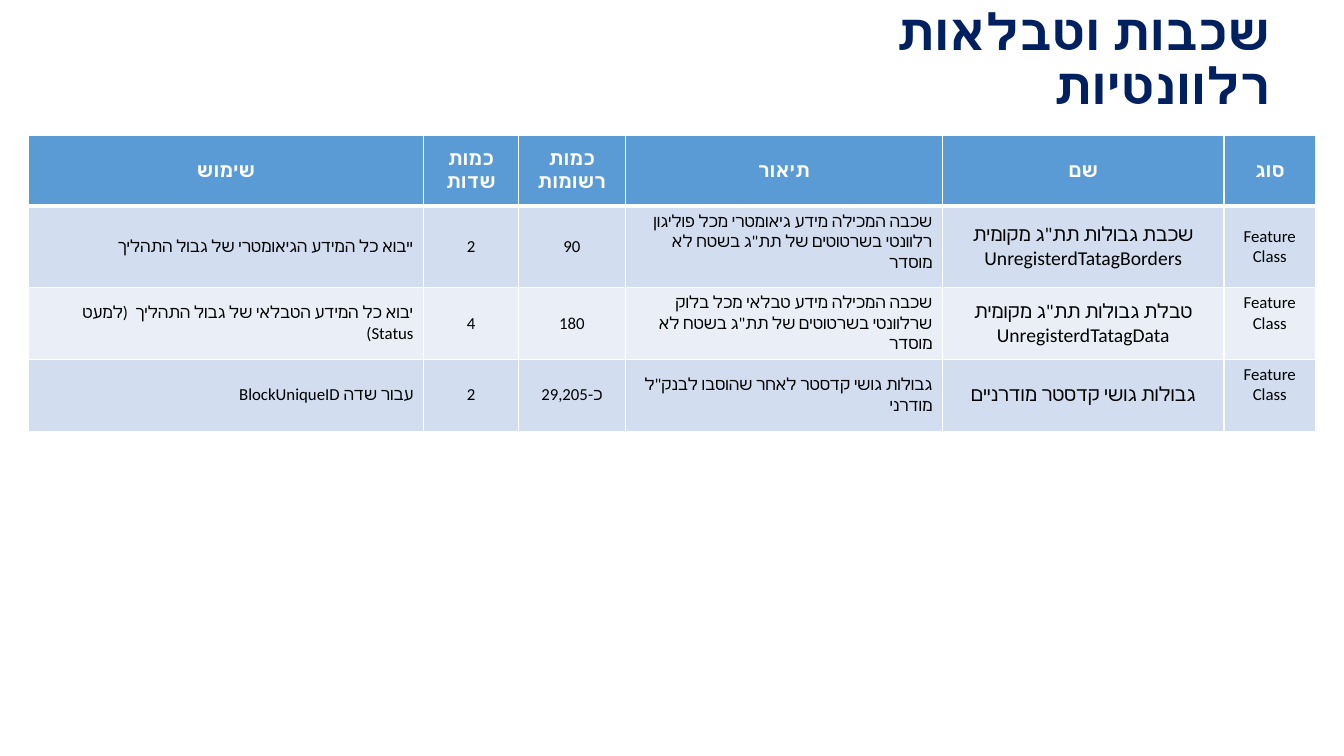
from lxml.etree import SubElement
from pptx import Presentation
from pptx.dml.color import RGBColor
from pptx.enum.text import MSO_ANCHOR as ANCHOR, MSO_AUTO_SIZE as AUTO, PP_ALIGN as ALIGN
from pptx.oxml.ns import qn
from pptx.util import Pt

# Content: columns run from left to right, "\n" splits paragraphs
TITLE = "שכבות וטבלאות רלוונטיות"
HEADER = ["שימוש", "כמות\nשדות", "כמות רשומות", "תיאור", "שם", "סוג"]
LAYERS = [
    ["ייבוא כל המידע הגיאומטרי של גבול התהליך", "2", "90",
     'שכבה המכילה מידע גיאומטרי מכל פוליגון רלוונטי בשרטוטים של תת"ג בשטח לא מוסדר',
     'שכבת גבולות תת"ג מקומית\nUnregisterdTatagBorders', "Feature Class"],
    ["יבוא כל המידע הטבלאי של גבול התהליך  (למעט Status)", "4", "180",
     'שכבה המכילה מידע טבלאי מכל בלוק שרלוונטי בשרטוטים של תת"ג בשטח לא מוסדר',
     'טבלת גבולות תת"ג מקומית\nUnregisterdTatagData', "Feature Class"],
    ["עבור שדה BlockUniqueID", "2", "כ-29,205",
     'גבולות גושי קדסטר לאחר שהוסבו לבנק"ל מודרני',
     "גבולות גושי קדסטר מודרניים", "Feature Class"],
]
COLORS = {"title": "002060", "header": "5B9BD5", "odd": "D2DEEF", "even": "EAEFF7",
          "white": "FFFFFF", "black": "000000"}
COL_WIDTHS = [282.2, 67.7, 76.3, 226.8, 200.9, 65.5]
ROW_HEIGHTS = [50.4, 58.3, 50.4, 51.4]
USAGE, DESCRIPTION, NAME, KIND = 0, 3, 4, 5
TOP_CELLS = {(1, DESCRIPTION), (2, KIND), (3, KIND)}


def write(p, text, size, font, color, bold=False, rtl=False):
    p.alignment = ALIGN.RIGHT if rtl else ALIGN.CENTER
    if rtl:
        p._p.get_or_add_pPr().set("rtl", "1")
    r = p.add_run()
    r.text = text
    r.font.size, r.font.name, r.font.bold = Pt(size), font, bold
    r.font.color.rgb = RGBColor.from_string(COLORS[color])
    SubElement(r._r.get_or_add_rPr(), qn("a:cs")).set("typeface", font)


def add_borders(cell, top, bottom):
    tc_pr = cell._tc.get_or_add_tcPr()
    for side, width in zip("LRTB", (1, 1, top, bottom)):
        ln = SubElement(tc_pr, qn(f"a:ln{side}"), w=str(Pt(width)))
        fill = SubElement(ln, qn("a:solidFill"))
        SubElement(fill, qn("a:srgbClr"), val=COLORS["white"])


prs = Presentation()
prs.slide_width, prs.slide_height = Pt(960), Pt(540)
slide = prs.slides.add_slide(prs.slide_layouts[5])

# Title
title = slide.shapes.title
title.left, title.top, title.width, title.height = Pt(540), Pt(19.4), Pt(374.4), Pt(49)
tf = title.text_frame
tf.word_wrap, tf.auto_size, tf.vertical_anchor = True, AUTO.NONE, ANCHOR.MIDDLE
tf.paragraphs[0].line_spacing = 0.9
write(tf.paragraphs[0], TITLE, 36, "Calibri", "title", bold=True, rtl=True)

# Table of layers
rows = [HEADER] + LAYERS
table = slide.shapes.add_table(len(rows), len(HEADER), Pt(20.4), Pt(96.8),
                               Pt(sum(COL_WIDTHS)), Pt(sum(ROW_HEIGHTS))).table
for column, width in zip(table.columns, COL_WIDTHS):
    column.width = Pt(width)
for i, (texts, height) in enumerate(zip(rows, ROW_HEIGHTS)):
    table.rows[i].height = Pt(height)
    band = "header" if i == 0 else "odd" if i % 2 else "even"
    for j, text in enumerate(texts):
        cell = table.cell(i, j)
        add_borders(cell, top=3 if i == 1 else 1, bottom=3 if i == 0 else 1)
        cell.fill.solid()
        cell.fill.fore_color.rgb = RGBColor.from_string(COLORS[band])
        cell.vertical_anchor = ANCHOR.TOP if (i, j) in TOP_CELLS else ANCHOR.MIDDLE
        for k, line in enumerate(text.split("\n")):
            p = cell.text_frame.add_paragraph() if k else cell.text_frame.paragraphs[0]
            if i == 0:
                write(p, line, 14, "Karla", "white", bold=True)
            else:
                write(p, line, 14 if j == NAME else 12, "Calibri", "black",
                      rtl=j in (USAGE, DESCRIPTION))

prs.save("out.pptx")
